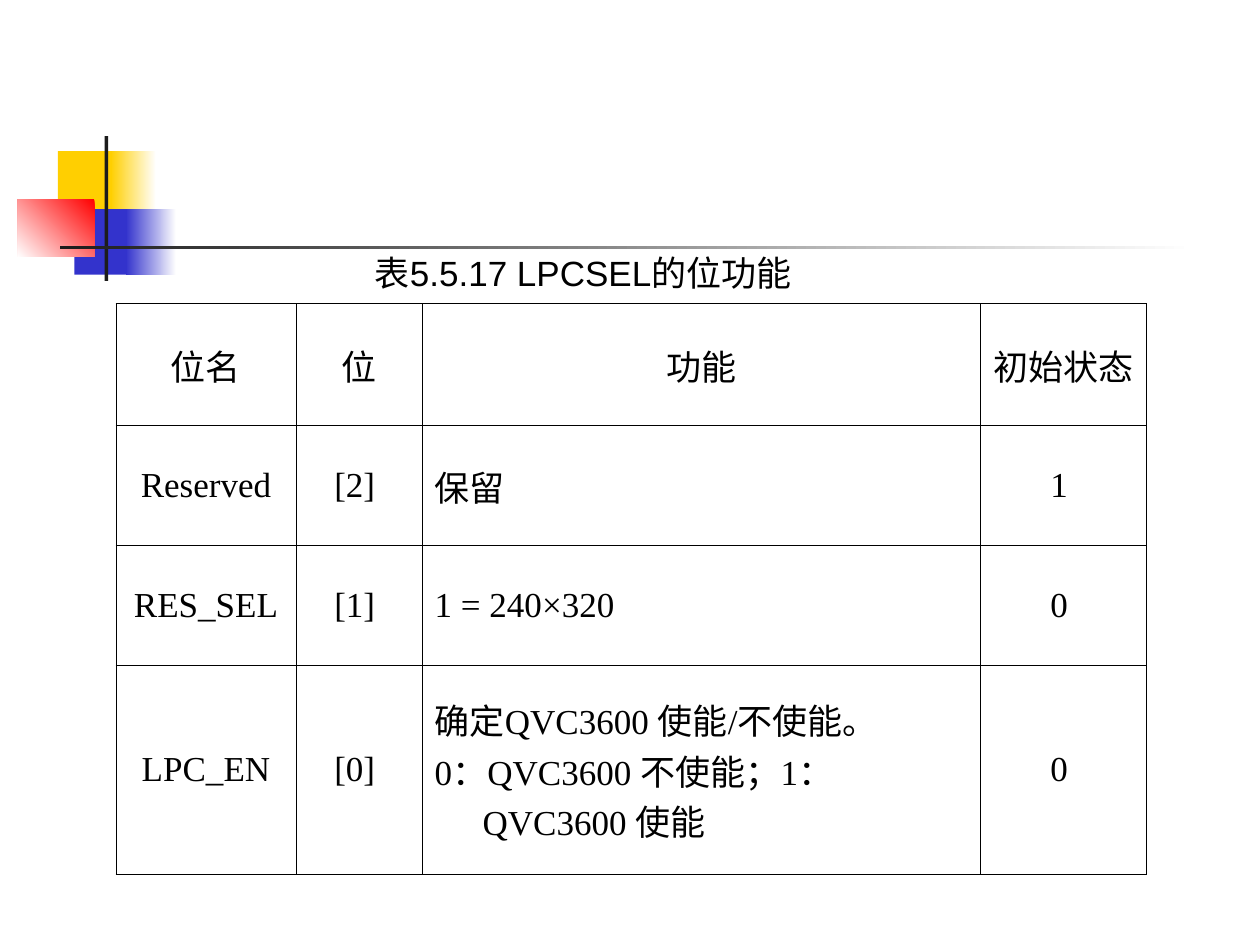
from lxml import etree
from pptx import Presentation
from pptx import util as u
from pptx.dml.color import RGBColor
from pptx.enum import shapes, text
from pptx.oxml import ns

BLACK = RGBColor(0x00, 0x00, 0x00)
WHITE = RGBColor(0xFF, 0xFF, 0xFF)
YELLOW = RGBColor(0xFF, 0xCF, 0x01)
BLUE = RGBColor(0x33, 0x33, 0xCC)
RED = RGBColor(0xFF, 0x00, 0x00)
CHARCOAL = RGBColor(0x1C, 0x1C, 0x1C)

DECORATIONS = [  # left, top, width, height, colours, gradient angle
    (0.46, 1.2, 0.48, 0.52, [YELLOW], 0),
    (0.88, 1.2, 0.36, 0.52, [WHITE, YELLOW], 180),
    (0.59, 1.66, 0.46, 0.52, [BLUE], 0),
    (1, 1.66, 0.4, 0.52, [WHITE, BLUE], 180),
    (0.14, 1.58, 0.61, 0.46, [RED, WHITE], 225),
    (0.83, 1.08, 0.03, 1.15, [CHARCOAL], 0),
    (0.48, 1.95, 9, 0.03, [WHITE, CHARCOAL], 180),
]
COLUMN_WIDTHS = [1.43, 1, 4.43, 1.32]
ROW_HEIGHTS = [0.97, 0.95, 0.95, 1.66]
FUNCTION_COLUMN = 2
BIT_ROWS = [
    ["位名", "位", "功能", "初始状态"],
    ["Reserved", "[2] ", "保留", "1 "],
    ["RES_SEL", "[1] ", "1 = 240×320", "0 "],
    ["LPC_EN", "[0] ", "确定QVC3600 使能/不使能。\n0：QVC3600 不使能；1：QVC3600 使能", "0 "],
]


class SlideBuilder:
    title_font = "Arial"
    table_font = "Times New Roman"
    font_size = u.Pt(20)
    border_width = u.Pt(0.45)
    hanging = u.Inches(0.38)

    def __init__(self, slide):
        self.slide = slide

    def format_paragraph(self, paragraph, font_name, alignment):
        paragraph.alignment = alignment
        paragraph.font.name = font_name
        paragraph.font.size = self.font_size
        paragraph.font.color.rgb = BLACK

    def add_title(self, wording, left, top, width, height):
        title = self.slide.shapes.title
        title.left, title.top = u.Inches(left), u.Inches(top)
        title.width, title.height = u.Inches(width), u.Inches(height)
        frame = title.text_frame
        frame.text = wording
        frame.word_wrap = False
        frame.auto_size = text.MSO_AUTO_SIZE.SHAPE_TO_FIT_TEXT
        frame.vertical_anchor = text.MSO_ANCHOR.MIDDLE
        self.format_paragraph(frame.paragraphs[0], self.title_font, text.PP_ALIGN.CENTER)

    def add_rectangle(self, left, top, width, height, colours, angle):
        """Fill with one colour, or with a gradient between two."""
        shape = self.slide.shapes.add_shape(
            shapes.MSO_SHAPE.RECTANGLE,
            u.Inches(left), u.Inches(top), u.Inches(width), u.Inches(height))
        shape.shadow.inherit = False
        shape.line.fill.background()
        if len(colours) == 1:
            shape.fill.solid()
            shape.fill.fore_color.rgb = colours[0]
        else:
            shape.fill.gradient()
            shape.fill.gradient_angle = angle
            for stop, colour in zip(shape.fill.gradient_stops, colours):
                stop.color.rgb = colour

    def add_borders(self, cell):
        properties = cell._tc.get_or_add_tcPr()
        for index, side in enumerate(("lnL", "lnR", "lnT", "lnB")):
            line = etree.Element(ns.qn(f"a:{side}"), w=str(int(self.border_width)))
            fill = etree.SubElement(line, ns.qn("a:solidFill"))
            etree.SubElement(fill, ns.qn("a:srgbClr"), val=str(BLACK))
            properties.insert(index, line)

    def add_cell(self, cell, wording, alignment):
        cell.fill.background()
        cell.vertical_anchor = text.MSO_ANCHOR.MIDDLE
        cell.text = wording
        for paragraph in cell.text_frame.paragraphs:
            properties = paragraph._p.get_or_add_pPr()
            properties.set("marL", str(int(self.hanging)))
            properties.set("indent", str(-int(self.hanging)))
            self.format_paragraph(paragraph, self.table_font, alignment)
        self.add_borders(cell)

    def add_table(self, rows, left, top, column_widths, row_heights):
        table = self.slide.shapes.add_table(
            len(rows), len(column_widths), u.Inches(left), u.Inches(top),
            u.Inches(sum(column_widths)), u.Inches(sum(row_heights))).table
        table.first_row = table.horz_banding = False
        for column, width in zip(table.columns, column_widths):
            column.width = u.Inches(width)
        for row, height in zip(table.rows, row_heights):
            row.height = u.Inches(height)
        for row_index, row in enumerate(rows):
            for column_index, wording in enumerate(row):
                is_description = row_index > 0 and column_index == FUNCTION_COLUMN
                alignment = text.PP_ALIGN.LEFT if is_description else text.PP_ALIGN.CENTER
                self.add_cell(table.cell(row_index, column_index), wording, alignment)


def main():
    presentation = Presentation()
    presentation.slide_width = u.Inches(10)
    presentation.slide_height = u.Inches(7.5)
    title_only = presentation.slide_layouts[5]
    builder = SlideBuilder(presentation.slides.add_slide(title_only))
    for decoration in DECORATIONS:
        builder.add_rectangle(*decoration)
    builder.add_title("表5.5.17 LPCSEL的位功能", 2.77, 1.94, 3.72, 0.44)
    builder.add_table(BIT_ROWS, 0.92, 2.41, COLUMN_WIDTHS, ROW_HEIGHTS)
    presentation.save("out.pptx")


if __name__ == "__main__":
    main()
